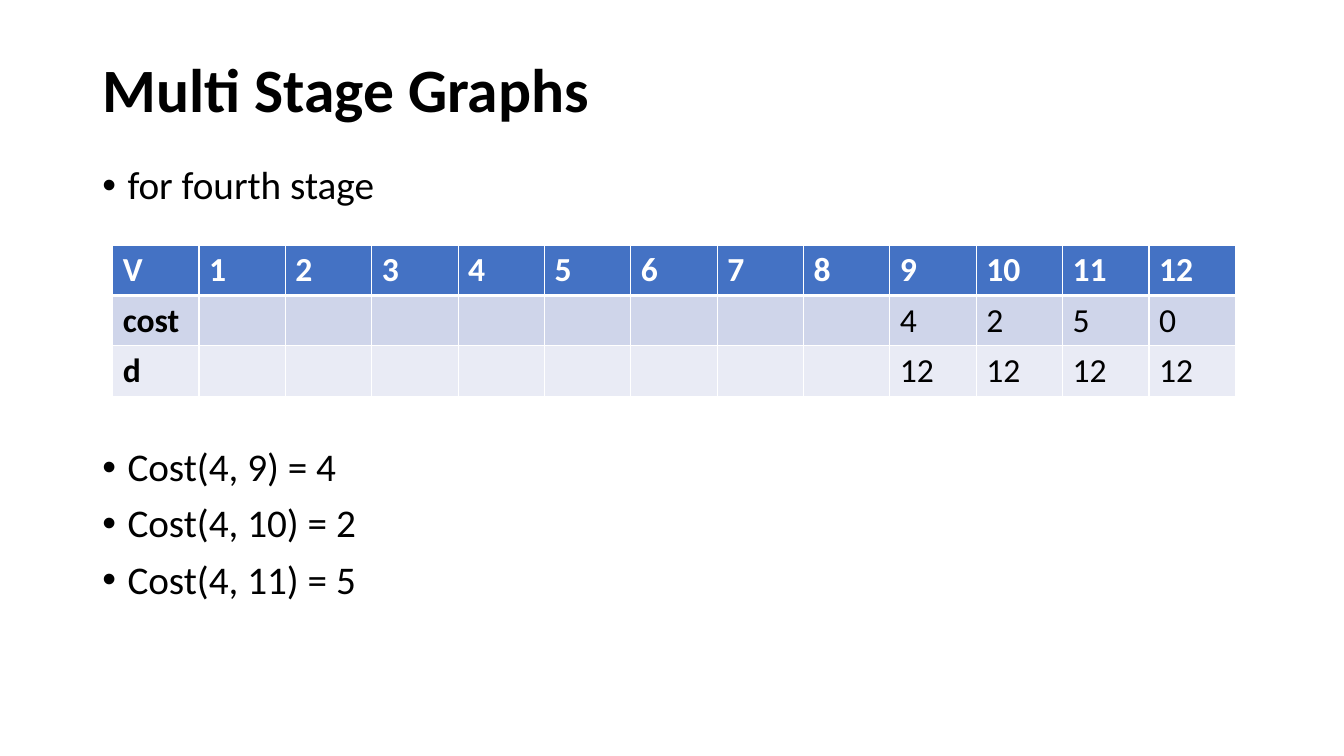
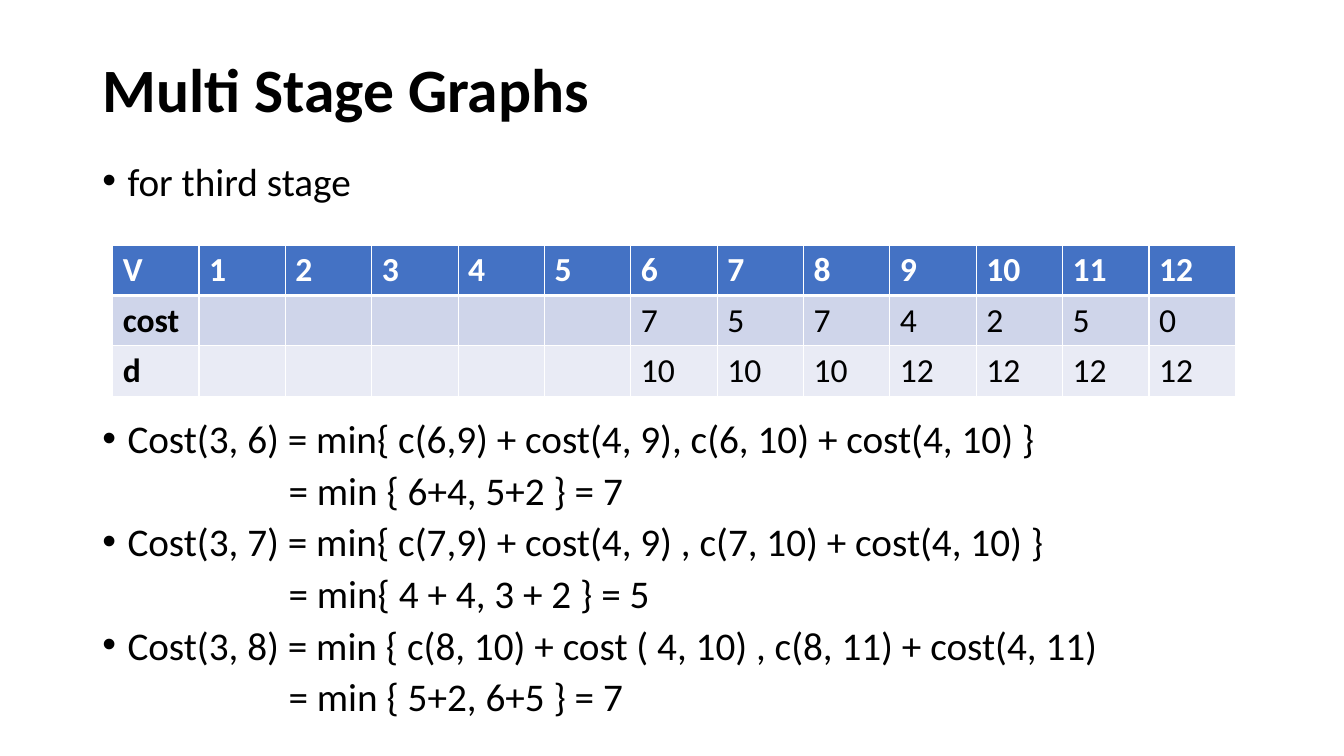
from pptx import Presentation
from pptx.dml.color import RGBColor
from pptx.enum.text import MSO_ANCHOR as Anchor, MSO_AUTO_SIZE as AutoSize, PP_ALIGN as Align
from pptx.oxml.ns import qn
from pptx.util import Pt
from lxml.etree import SubElement

TITLE = "Multi Stage Graphs"
VERTICES = range(1, 13)


def color(hex_code):
    return RGBColor.from_string(hex_code)


def write(para, text, size=28, bold=False, ink="000000", font="Calibri"):
    span = para.add_run()
    span.text = text
    span.font.name = font
    span.font.size = Pt(size)
    span.font.bold = bold
    span.font.color.rgb = color(ink)


def set_indent(para, left, bullet=False):
    """Set the left indent, with a hanging bullet if wanted."""
    props = para._p.get_or_add_pPr()
    props.set("marL", str(Pt(left)))
    props.set("indent", str(Pt(-left if bullet else 0)))
    if bullet:
        SubElement(props, qn("a:buFont"), typeface="Arial")
        SubElement(props, qn("a:buChar"), char="•")
    else:
        SubElement(props, qn("a:buNone"))


def set_borders(cell, ink, **widths):
    """Draw cell borders; widths are keyed L, R, T and B."""
    props = cell._tc.get_or_add_tcPr()
    for side, width in widths.items():
        line = SubElement(props, qn(f"a:ln{side}"), w=str(Pt(width)))
        fill = SubElement(line, qn("a:solidFill"))
        SubElement(fill, qn("a:srgbClr"), val=ink)


class StageDeck:
    white, header = "FFFFFF", "4472C4"
    bands = ("CFD5EA", "E9EBF5")
    left = 66
    bullet_indent, equals_indent = 18, 133
    column_width, row_height = 61.7, 36

    def __init__(self):
        self.deck = Presentation()
        self.deck.slide_width, self.deck.slide_height = Pt(960), Pt(540)
        self.page = None

    def add_page(self, title):
        self.page = self.deck.slides.add_slide(self.deck.slide_layouts[5])
        box = self.page.shapes.title
        box.left, box.top, box.width, box.height = Pt(self.left), Pt(28.75), Pt(828), Pt(74.4)
        frame = box.text_frame
        frame.auto_size = AutoSize.NONE
        frame.vertical_anchor = Anchor.MIDDLE
        para = frame.paragraphs[0]
        para.alignment = Align.LEFT
        para.line_spacing = 0.9
        write(para, title, size=44, bold=True)

    def add_body(self, lead, formulas, spacing, table_gap):
        """Write the lead, leave room for the table, then write the formulas."""
        box = self.page.shapes.add_textbox(Pt(self.left), Pt(115), Pt(866), Pt(416))
        frame = box.text_frame
        frame.word_wrap = True
        for index, text in enumerate([lead, *formulas]):
            para = frame.add_paragraph() if index else frame.paragraphs[0]
            para.line_spacing = spacing
            if index:
                para.space_before = Pt(table_gap if index == 1 else 10)
            continues = text.startswith("=")
            set_indent(para, self.equals_indent if continues else self.bullet_indent,
                       bullet=not continues)
            write(para, text)

    def add_cost_table(self, costs, decisions):
        """Fill the last columns; vertices of earlier stages stay open."""
        open_cells = [""] * (len(VERTICES) - len(costs))
        rows = [["V", *VERTICES], ["cost", *open_cells, *costs], ["d", *open_cells, *decisions]]
        count = len(rows[0])
        table = self.page.shapes.add_table(
            len(rows), count, Pt(80.5), Pt(175),
            Pt(self.column_width * count), Pt(self.row_height * len(rows))).table
        table.horz_banding = False
        for column in table.columns:
            column.width = Pt(self.column_width)
        for row_index, values in enumerate(rows):
            is_header = row_index == 0
            table.rows[row_index].height = Pt(self.row_height)
            for column_index, value in enumerate(values):
                cell = table.cell(row_index, column_index)
                set_borders(cell, self.white, L=1, R=1,
                            T=3 if row_index == 1 else 1, B=3 if is_header else 1)
                cell.fill.solid()
                cell.fill.fore_color.rgb = color(
                    self.header if is_header else self.bands[row_index - 1])
                if value != "":
                    write(cell.text_frame.paragraphs[0], str(value), size=24,
                          bold=is_header or column_index == 0,
                          ink=self.white if is_header else "000000")


def main():
    stages = StageDeck()

    # Fourth stage
    stages.add_page(TITLE)
    stages.add_body("for fourth stage",
                    ["Cost(4, 9) = 4", "Cost(4, 10) = 2", "Cost(4, 11) = 5"],
                    spacing=0.9, table_gap=171)
    stages.add_cost_table([4, 2, 5, 0], [12] * 4)

    # Third stage
    stages.add_page(TITLE)
    stages.add_body("for third stage", [
        "Cost(3, 6) = min{ c(6,9) + cost(4, 9), c(6, 10) + cost(4, 10) }",
        "= min { 6+4, 5+2 } = 7",
        "Cost(3, 7) = min{ c(7,9) + cost(4, 9) , c(7, 10) + cost(4, 10) }",
        "= min{ 4 + 4, 3 + 2 } = 5",
        "Cost(3, 8) = min { c(8, 10) + cost ( 4, 10) , c(8, 11) + cost(4, 11)",
        "= min { 5+2, 6+5 } = 7",
    ], spacing=0.8, table_gap=157)
    stages.add_cost_table([7, 5, 7, 4, 2, 5, 0], [10] * 3 + [12] * 4)

    stages.deck.save("out.pptx")


if __name__ == "__main__":
    main()
